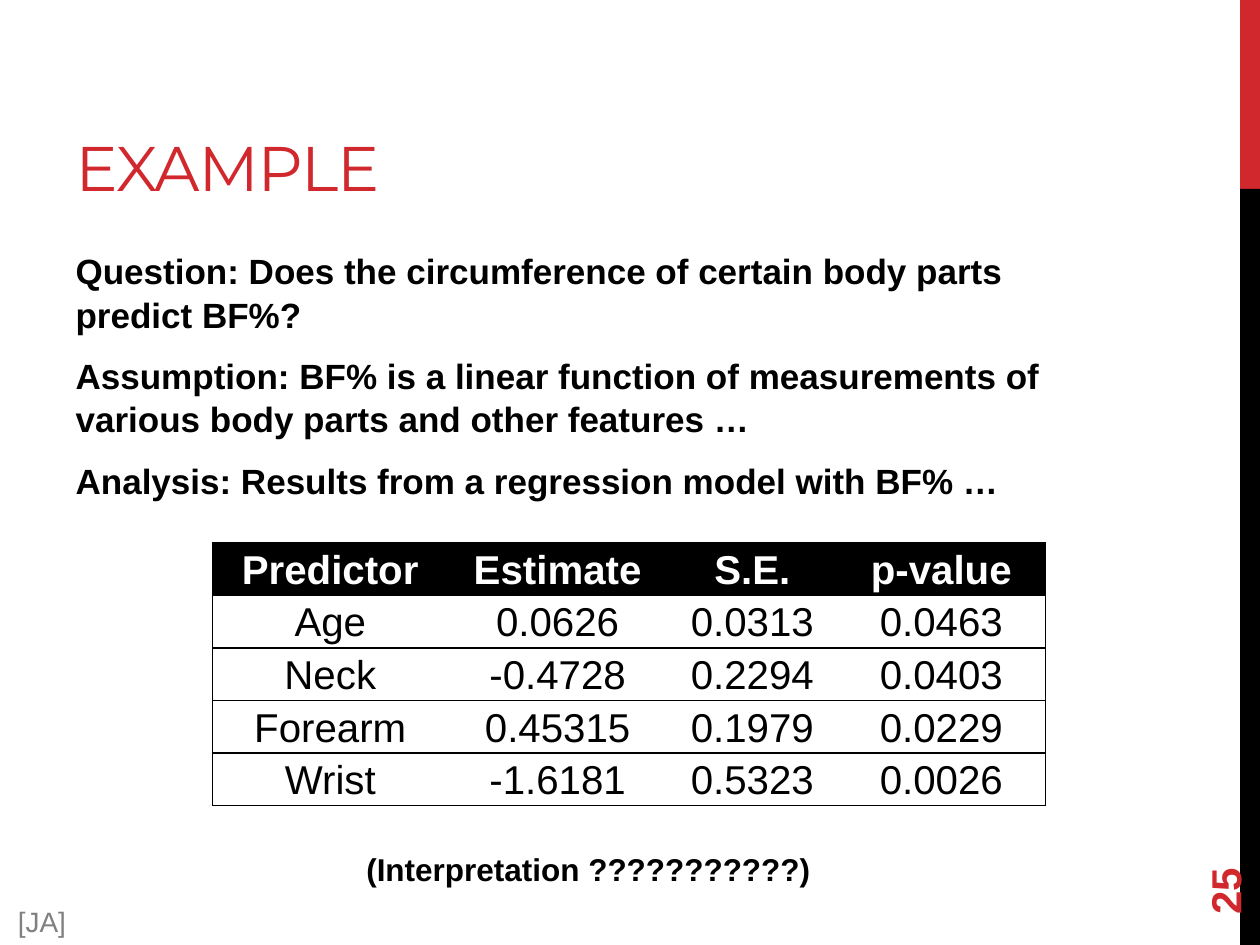
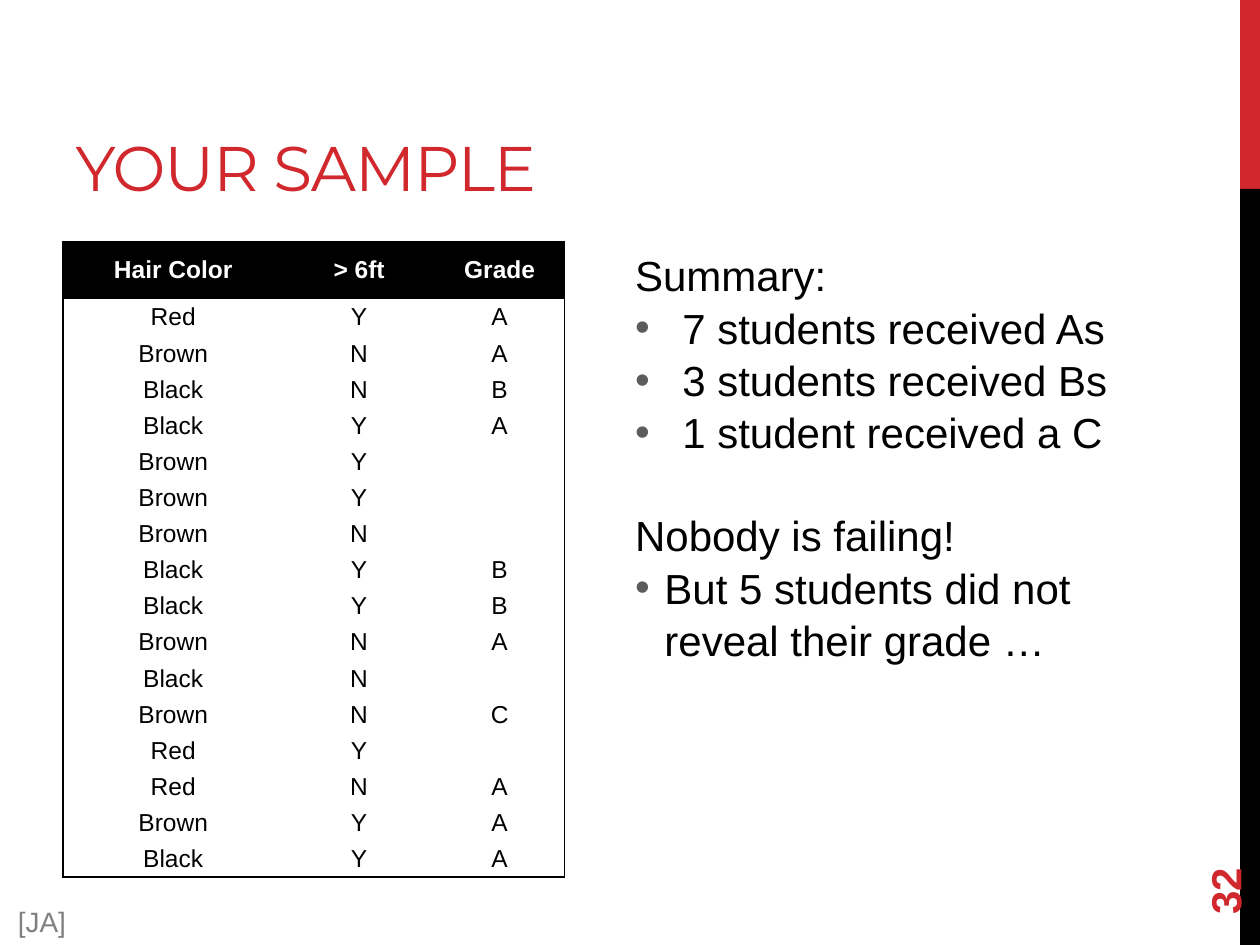
from dataclasses import dataclass

from lxml.etree import SubElement
from pptx import Presentation
from pptx.dml.color import RGBColor
from pptx.enum.shapes import MSO_SHAPE
from pptx.enum.text import MSO_ANCHOR, MSO_AUTO_SIZE, PP_ALIGN
from pptx.oxml.ns import qn
from pptx.util import Pt


@dataclass(frozen=True)
class Theme:
    red: str = "D1282E"
    black: str = "000000"
    white: str = "FFFFFF"
    grey: str = "808080"
    bullet: str = "5C5C5C"
    title_font: str = "Montserrat"
    text_font: str = "Arial"
    title_size: float = 36
    summary_size: float = 24
    number_size: float = 24
    regression_size: float = 23
    body_size: float = 20
    caption_size: float = 18
    credit_size: float = 16
    sample_size: float = 14
    line_spacing: float = 1.04


THEME = Theme()

STATEMENTS = [
    "Question: Does the circumference of certain body parts predict BF%?",
    "Assumption: BF% is a linear function of measurements of various body parts and other features …",
    "Analysis: Results from a regression model with BF% …",
]

REGRESSION = [
    ("Predictor", "Estimate", "S.E.", "p-value"),
    ("Age", "0.0626", "0.0313", "0.0463"),
    ("Neck", "-0.4728", "0.2294", "0.0403"),
    ("Forearm", "0.45315", "0.1979", "0.0229"),
    ("Wrist", "-1.6181", "0.5323", "0.0026"),
]

SAMPLE = [
    ("Hair Color", "> 6ft", "Grade"),
    ("Red", "Y", "A"),
    ("Brown", "N", "A"),
    ("Black", "N", "B"),
    ("Black", "Y", "A"),
    ("Brown", "Y", ""),
    ("Brown", "Y", ""),
    ("Brown", "N", ""),
    ("Black", "Y", "B"),
    ("Black", "Y", "B"),
    ("Brown", "N", "A"),
    ("Black", "N", ""),
    ("Brown", "N", "C"),
    ("Red", "Y", ""),
    ("Red", "N", "A"),
    ("Brown", "Y", "A"),
    ("Black", "Y", "A"),
]

SUMMARY = [
    ("Summary:", 0, 0),
    ("7 students received As", 27, 0),
    ("3 students received Bs", 27, 0),
    ("1 student received a C", 27, 0),
    ("Nobody is failing!", 0, 28.8),
    ("But 5 students did not reveal their grade …", 16.8, 0),
]


def place(shape, left, top, width, height):
    shape.left, shape.top = Pt(left), Pt(top)
    shape.width, shape.height = Pt(width), Pt(height)


def style(para, size, color, bold=False, align=PP_ALIGN.LEFT, font=THEME.text_font):
    para.alignment = align
    para.font.name = font
    para.font.size = Pt(size)
    para.font.bold = bold
    para.font.color.rgb = RGBColor.from_string(color)


def set_bullet(para, indent):
    properties = para._p.get_or_add_pPr()
    properties.set("marL", str(Pt(indent)))
    properties.set("indent", str(-Pt(indent)))
    if indent:
        color = SubElement(properties, qn("a:buClr"))
        SubElement(color, qn("a:srgbClr"), val=THEME.bullet)
        SubElement(properties, qn("a:buFont"), typeface=THEME.text_font)
        SubElement(properties, qn("a:buChar"), char="•")
    else:
        SubElement(properties, qn("a:buNone"))


def add_band(page, top, height, color):
    band = page.shapes.add_shape(MSO_SHAPE.RECTANGLE, Pt(708.7), Pt(top), Pt(11.3), Pt(height))
    band.shadow.inherit = False
    band.fill.solid()
    band.fill.fore_color.rgb = RGBColor.from_string(color)
    band.line.fill.background()


def add_label(page, text, area, size, color, bold=False, align=PP_ALIGN.CENTER):
    box = page.shapes.add_textbox(*(Pt(length) for length in area))
    box.text_frame.word_wrap = True
    box.text_frame.text = text
    style(box.text_frame.paragraphs[0], size, color, bold, align)
    return box


def add_page(deck, title, number):
    page = deck.slides.add_slide(deck.slide_layouts[1])
    add_band(page, 0, 108, THEME.red)
    add_band(page, 108, 432, THEME.black)

    heading = page.shapes.title
    place(heading, 36, 12, 456, 108)
    frame = heading.text_frame
    frame.text = title
    frame.vertical_anchor = MSO_ANCHOR.BOTTOM
    para = frame.paragraphs[0]
    style(para, THEME.title_size, THEME.red, font=THEME.title_font)
    para.runs[0]._r.get_or_add_rPr().set("spc", "-60")

    number_box = add_label(page, number, (648, 463.5, 103.7, 28.8),
                           THEME.number_size, THEME.red, True, PP_ALIGN.LEFT)
    number_box.rotation = 270
    number_box.text_frame.vertical_anchor = MSO_ANCHOR.MIDDLE
    add_label(page, "[JA]", (0, 513.4, 48, 26.6), THEME.credit_size, THEME.grey)
    return page


def fill_body(page, area, items, size, bold=False, space_after=0):
    body = page.placeholders[1]
    place(body, *area)
    frame = body.text_frame
    frame.auto_size = MSO_AUTO_SIZE.NONE
    for index, (text, indent, space_before) in enumerate(items):
        para = frame.add_paragraph() if index else frame.paragraphs[0]
        para.text = text
        set_bullet(para, indent)
        para.line_spacing = THEME.line_spacing
        para.space_before = Pt(space_before)
        para.space_after = Pt(space_after)
        style(para, size, THEME.black, bold)


def set_borders(cell, sides):
    properties = cell._tc.get_or_add_tcPr()
    for side in "LRTB":
        line = SubElement(properties, qn(f"a:ln{side}"), w=str(Pt(1)))
        if side in sides:
            fill = SubElement(line, qn("a:solidFill"))
            SubElement(fill, qn("a:srgbClr"), val=THEME.black)
        else:
            SubElement(line, qn("a:noFill"))


def cell_sides(row, column, row_count, column_count, ruled):
    edges = {
        "L": column == 0,
        "R": column == column_count - 1,
        "T": ruled or row == 0,
        "B": ruled or row == row_count - 1,
    }
    return [side for side, drawn in edges.items() if drawn]


def add_grid(page, rows, left, top, widths, heights, size, margin=0, ruled=False):
    grid = page.shapes.add_table(len(rows), len(widths), Pt(left), Pt(top),
                                 Pt(sum(widths)), Pt(sum(heights))).table
    grid.first_row = grid.horz_banding = False
    for column, width in zip(grid.columns, widths):
        column.width = Pt(width)
    for row, height in zip(grid.rows, heights):
        row.height = Pt(height)
    for r, values in enumerate(rows):
        for c, value in enumerate(values):
            cell = grid.cell(r, c)
            set_borders(cell, cell_sides(r, c, len(rows), len(widths), ruled))
            cell.margin_left = cell.margin_right = cell.margin_top = Pt(margin)
            cell.margin_bottom = Pt(0)
            cell.vertical_anchor = MSO_ANCHOR.MIDDLE
            header = r == 0
            cell.fill.solid()
            cell.fill.fore_color.rgb = RGBColor.from_string(THEME.black if header else THEME.white)
            cell.text = value
            style(cell.text_frame.paragraphs[0], size,
                  THEME.white if header else THEME.black, header, PP_ALIGN.CENTER)


def build_example(deck):
    page = add_page(deck, "EXAMPLE", "25")
    items = [(text, 0, 4 if index else 0) for index, text in enumerate(STATEMENTS)]
    fill_body(page, (36, 138, 600, 344), items, THEME.body_size, bold=True, space_after=6)
    add_grid(page, REGRESSION, 121.5, 310.2, [134.6, 125.3, 97.2, 118.8],
             [30.05] * len(REGRESSION), THEME.regression_size, margin=1.4, ruled=True)
    add_label(page, "(Interpretation ???????????)", (143.3, 482.4, 386, 28.8),
              THEME.caption_size, THEME.black, True)


def build_sample(deck):
    page = add_page(deck, "YOUR SAMPLE", "32")
    add_grid(page, SAMPLE, 36, 138, [126, 86.4, 74.2],
             [33.1] + [20.65] * (len(SAMPLE) - 1), THEME.sample_size)
    fill_body(page, (355.7, 138, 330, 240), SUMMARY, THEME.summary_size)


def main():
    deck = Presentation()
    deck.slide_width, deck.slide_height = Pt(720), Pt(540)
    build_example(deck)
    build_sample(deck)
    deck.save("out.pptx")


if __name__ == "__main__":
    main()
